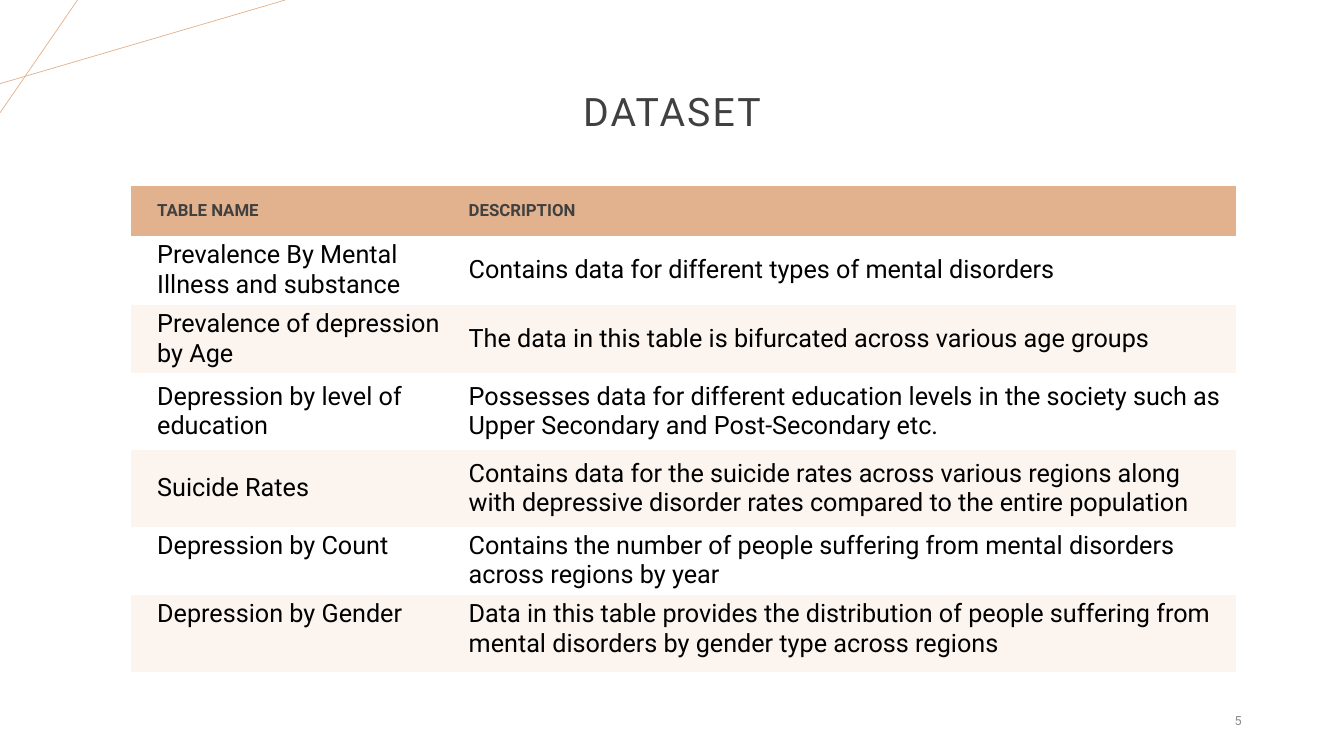
from pptx import Presentation
from pptx import util as u
from pptx.dml import color
from pptx.enum import shapes, text
from pptx.oxml import ns
from lxml import etree

ACCENT, BAND, WHITE = "E2B18D", "FBF4EF", "FFFFFF"
DARK, GREY, BLACK = "404040", "8C8C8C", "000000"
NO_GRID_STYLE = "{2D5ABB26-0587-4C30-8999-92F81FD0307C}"


def rgb(value):
    return color.RGBColor.from_string(value)


def write(frame, words, size=18, fill=BLACK, bold=False, align=text.PP_ALIGN.LEFT,
          anchor=text.MSO_ANCHOR.MIDDLE, line_spacing=None, tracking=None):
    frame.word_wrap = True
    frame.vertical_anchor = anchor
    paragraph = frame.paragraphs[0]
    paragraph.alignment = align
    paragraph.line_spacing = line_spacing
    run = paragraph.add_run()
    run.text = words
    run.font.name = "Roboto"
    run.font.size = u.Pt(size)
    run.font.bold = bold
    run.font.color.rgb = rgb(fill)
    if tracking:
        run.font._element.set("spc", str(tracking))


presentation = Presentation()
presentation.slide_width = u.Pt(960)
presentation.slide_height = u.Pt(540)
slide = presentation.slides.add_slide(presentation.slide_layouts[5])

for ends in [(0, 59.8, 203.8, 0), (55.4, 0, 0, 80.6)]:
    line = slide.shapes.add_connector(shapes.MSO_CONNECTOR.STRAIGHT, *map(u.Pt, ends))
    line.line.color.rgb = rgb(ACCENT)
    line.line.width = u.Pt(0.5)
    etree.SubElement(line.element.spPr, ns.qn("a:effectLst"))

title = slide.shapes.title
title.left, title.top, title.width, title.height = map(u.Pt, (66, 28.8, 828, 104.4))
write(title.text_frame, "DATASET", size=28, fill=DARK, align=text.PP_ALIGN.CENTER,
      line_spacing=0.9, tracking=150)

page_number = slide.shapes.add_textbox(*map(u.Pt, (678, 500.5, 216, 28.8)))
write(page_number.text_frame, "5", size=9, fill=GREY, align=text.PP_ALIGN.RIGHT)

rows = [
    ("TABLE NAME", "DESCRIPTION"),
    ("Prevalence By Mental Illness and substance",
     "Contains data for different types of mental disorders"),
    ("Prevalence of depression by Age",
     "The data in this table is bifurcated across various age groups"),
    ("Depression by level of education",
     "Possesses data for different education levels in the society such as "
     "Upper Secondary and Post-Secondary etc."),
    ("Suicide Rates",
     "Contains data for the suicide rates across various regions along "
     "with depressive disorder rates compared to the entire population"),
    ("Depression by Count",
     "Contains the number of people suffering from mental disorders "
     "across regions by year"),
    ("Depression by Gender",
     "Data in this table provides the distribution of people suffering from "
     "mental disorders by gender type across regions"),
]
column_widths = [235.4, 553.7]
row_heights = [35.3, 35.3, 35.3, 54.9, 54.9, 35.3, 54.9]
left_insets = [18.7, 5.8]

table_frame = slide.shapes.add_table(
    len(rows), len(column_widths), u.Pt(93.6), u.Pt(133.2),
    u.Pt(sum(column_widths)), u.Pt(sum(row_heights)))
table = table_frame.table
table.horz_banding = False
next(table_frame.element.iter(ns.qn("a:tableStyleId"))).text = NO_GRID_STYLE

for column, width in zip(table.columns, column_widths):
    column.width = u.Pt(width)

for index, (row, entries) in enumerate(zip(table.rows, rows)):
    row.height = u.Pt(row_heights[index])
    header = index == 0
    fill = ACCENT if header else WHITE if index % 2 else BAND
    anchor = text.MSO_ANCHOR.TOP if index >= 5 else text.MSO_ANCHOR.MIDDLE
    for cell, words, inset in zip(row.cells, entries, left_insets):
        cell.fill.solid()
        cell.fill.fore_color.rgb = rgb(fill)
        cell.margin_left, cell.margin_right = u.Pt(inset), u.Pt(5.8)
        cell.margin_top = cell.margin_bottom = u.Pt(2.9)
        write(cell.text_frame, words, size=12 if header else 18,
              fill=DARK if header else BLACK, bold=header)
        cell.vertical_anchor = anchor

presentation.save("out.pptx")
